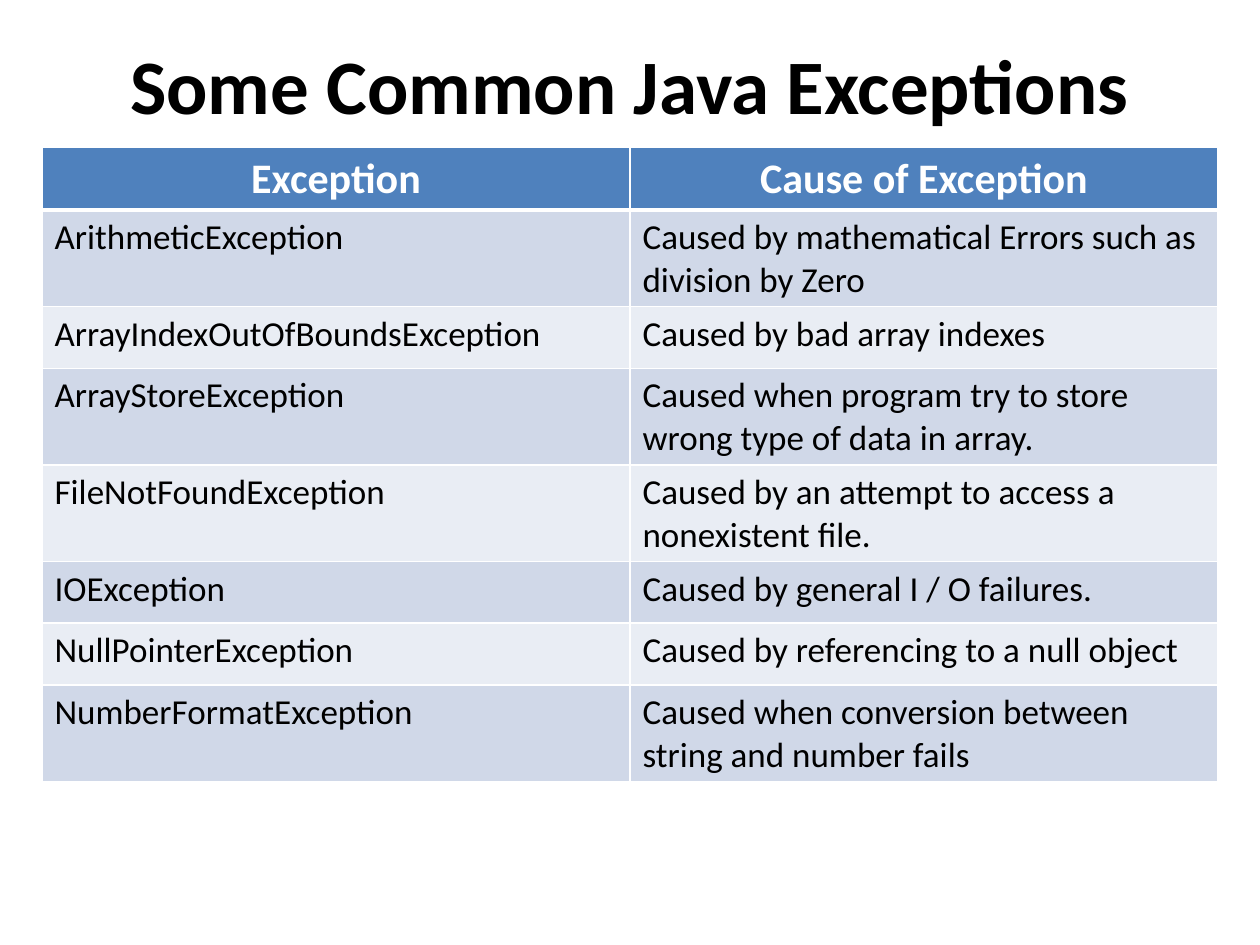
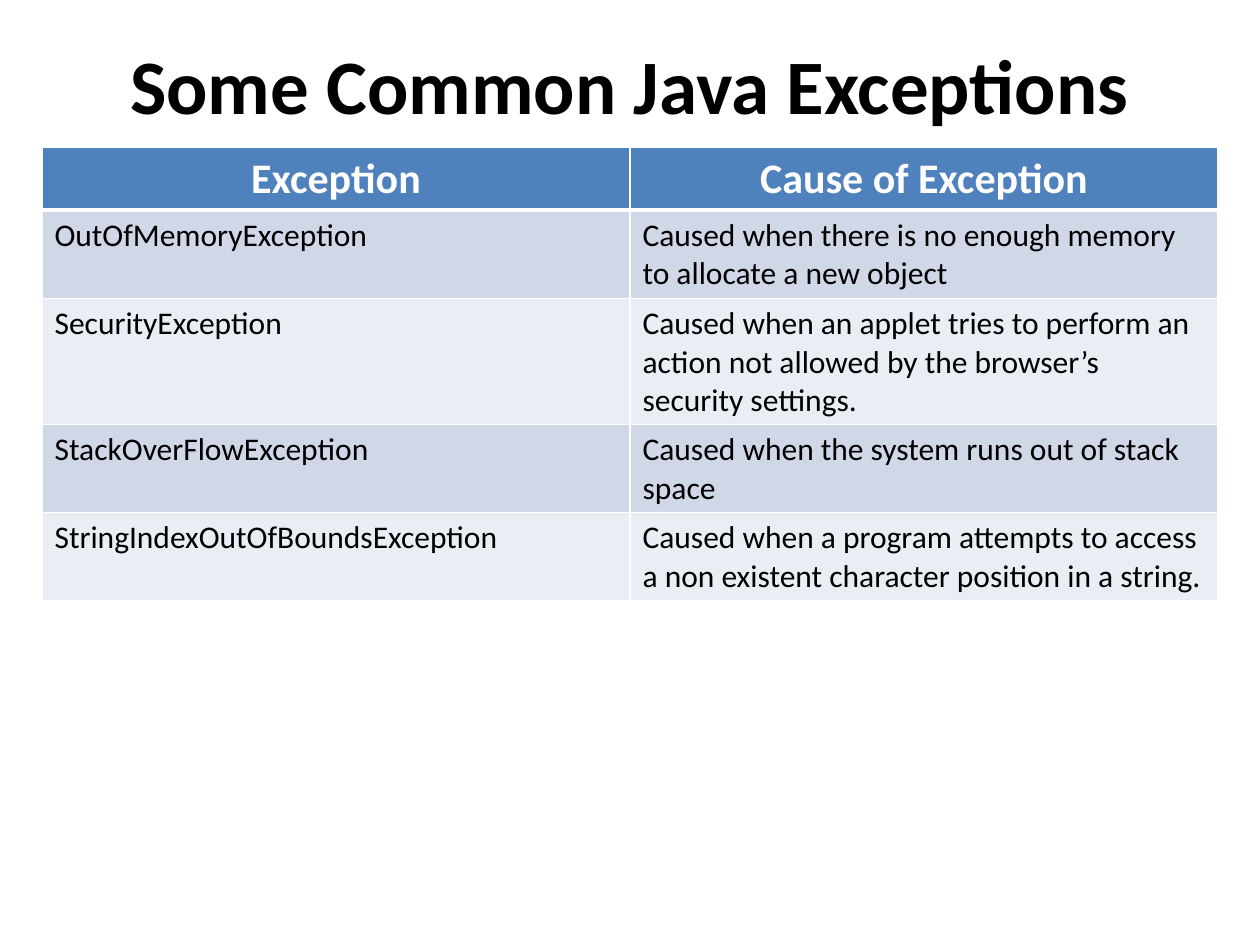
from pptx import Presentation
from pptx.dml.color import RGBColor
from pptx.enum.text import MSO_ANCHOR, PP_ALIGN
from pptx.oxml import parse_xml
from pptx.oxml.ns import nsdecls
from pptx.util import Pt

BLACK = RGBColor(0x00, 0x00, 0x00)
WHITE = RGBColor(0xFF, 0xFF, 0xFF)
HEADER_BLUE = RGBColor(0x4F, 0x81, 0xBD)
BANDS = [RGBColor(0xD0, 0xD8, 0xE8), RGBColor(0xE9, 0xED, 0xF4)]

FONT = "Calibri"
TITLE = "Some Common Java Exceptions"
HEADER = ("Exception", "Cause of Exception")
TABLE_LEFT, TABLE_TOP, TABLE_WIDTH = 24, 84, 672
ROW_HEIGHT = 35.2

# Each slide: body text size and table rows
SLIDES = [
    (20, [
        ("ArithmeticException", "Caused by mathematical Errors such as division by Zero"),
        ("ArrayIndexOutOfBoundsException", "Caused by bad array indexes"),
        ("ArrayStoreException", "Caused when program try to store wrong type of data in array."),
        ("FileNotFoundException", "Caused by an attempt to access a nonexistent file."),
        ("IOException", "Caused by general I / O failures."),
        ("NullPointerException", "Caused by referencing to a null object"),
        ("NumberFormatException", "Caused when conversion between string and number fails"),
    ]),
    (18, [
        ("OutOfMemoryException", "Caused when there is no enough memory to allocate a new object"),
        ("SecurityException", "Caused when an applet tries to perform an action not allowed "
                              "by the browser’s security settings."),
        ("StackOverFlowException", "Caused when the system runs out of stack space"),
        ("StringIndexOutOfBoundsException", "Caused when a program attempts to access a non existent "
                                            "character position in a string."),
    ]),
]


def style_text(para, size, color, bold, align):
    para.alignment = align
    para.font.name = FONT
    para.font.size = Pt(size)
    para.font.bold = bold
    para.font.color.rgb = color


def set_borders(cell, top, bottom):
    """Draw white borders, one point wide at the sides."""
    for side, width in (("L", 1), ("R", 1), ("T", top), ("B", bottom)):
        cell._tc.get_or_add_tcPr().append(parse_xml(
            f'<a:ln{side} {nsdecls("a")} w="{Pt(width)}"><a:solidFill>'
            f'<a:srgbClr val="{WHITE}"/></a:solidFill></a:ln{side}>'))


deck = Presentation()
deck.slide_width, deck.slide_height = Pt(720), Pt(540)

for body_size, exceptions in SLIDES:
    page = deck.slides.add_slide(deck.slide_layouts[6])

    title = page.shapes.add_textbox(Pt(0), Pt(12), Pt(720), Pt(72)).text_frame
    title.word_wrap = True
    title.vertical_anchor = MSO_ANCHOR.MIDDLE
    title.text = TITLE
    style_text(title.paragraphs[0], 44, BLACK, True, PP_ALIGN.CENTER)

    rows = [HEADER, *exceptions]
    table = page.shapes.add_table(
        len(rows), len(HEADER), Pt(TABLE_LEFT), Pt(TABLE_TOP),
        Pt(TABLE_WIDTH), Pt(ROW_HEIGHT * len(rows))).table

    for row_index, row in enumerate(rows):
        is_header = row_index == 0
        for column_index, text in enumerate(row):
            cell = table.cell(row_index, column_index)
            cell.text = text
            set_borders(cell, 3 if row_index == 1 else 1, 3 if is_header else 1)
            cell.fill.solid()
            para = cell.text_frame.paragraphs[0]
            if is_header:
                cell.fill.fore_color.rgb = HEADER_BLUE
                style_text(para, 24, WHITE, True, PP_ALIGN.CENTER)
            else:
                cell.fill.fore_color.rgb = BANDS[(row_index - 1) % 2]
                style_text(para, body_size, BLACK, False, PP_ALIGN.LEFT)

deck.save("out.pptx")
